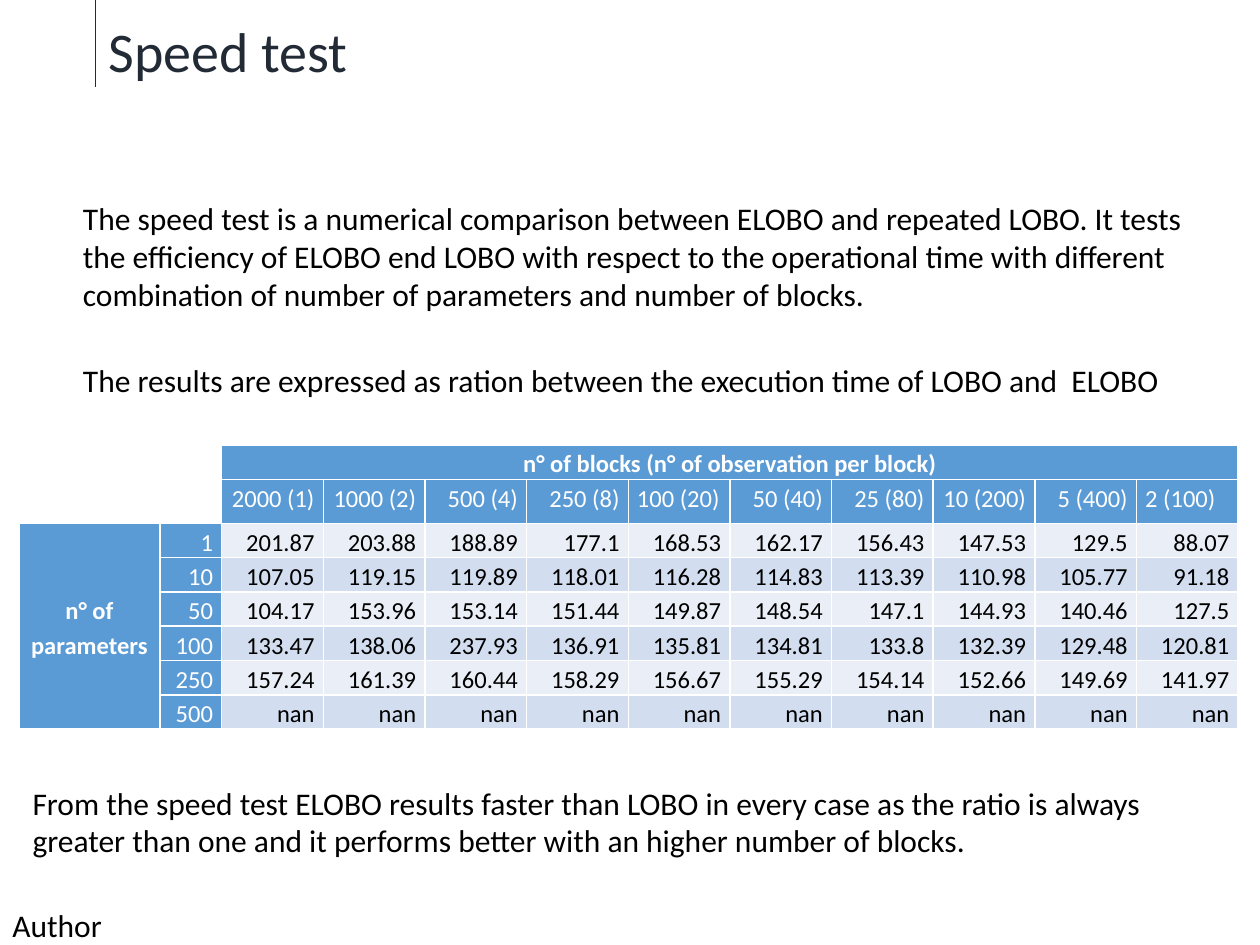
from dataclasses import dataclass

from lxml.etree import SubElement
from pptx import Presentation
from pptx.dml.color import RGBColor as Color
from pptx.enum.shapes import MSO_CONNECTOR as Connector
from pptx.enum.text import MSO_ANCHOR as Anchor, MSO_AUTO_SIZE as AutoSize, PP_ALIGN as Align
from pptx.oxml.ns import qn
from pptx.util import Pt


@dataclass(frozen=True)
class Theme:
    font: str = "Calibri"
    ink: str = "000000"
    title_ink: str = "222A35"
    rule: str = "003366"
    white: str = "FFFFFF"
    header: str = "5B9BD5"
    bands: tuple = ("EAEFF7", "D2DEEF")
    title_size: int = 32
    body_size: int = 18
    table_size: int = 14


THEME = Theme()

INTRO = (
    "The speed test is a numerical comparison between ELOBO and repeated LOBO. "
    "It tests the efficiency of ELOBO end LOBO with respect to the operational time "
    "with different combination of number of parameters and number of blocks."
)
RESULTS = "The results are expressed as ration between the execution time of LOBO and  ELOBO"
CONCLUSION = (
    "From the speed test ELOBO results faster than LOBO in every case as the ratio is "
    "always greater than one and it performs better with an higher number of blocks."
)

BLOCKS = [
    "2000 (1)", "1000 (2)", "500 (4)", "250 (8)", "100 (20)",
    "50 (40)", "25 (80)", "10 (200)", "5 (400)", "2 (100)",
]
LEFT_ALIGNED_BLOCKS = {"100 (20)", "2 (100)"}
RATIOS = {
    "1": "201.87 203.88 188.89 177.1 168.53 162.17 156.43 147.53 129.5 88.07".split(),
    "10": "107.05 119.15 119.89 118.01 116.28 114.83 113.39 110.98 105.77 91.18".split(),
    "50": "104.17 153.96 153.14 151.44 149.87 148.54 147.1 144.93 140.46 127.5".split(),
    "100": "133.47 138.06 237.93 136.91 135.81 134.81 133.8 132.39 129.48 120.81".split(),
    "250": "157.24 161.39 160.44 158.29 156.67 155.29 154.14 152.66 149.69 141.97".split(),
    "500": ["nan"] * len(BLOCKS),
}

HEADER_ROWS = 2
HEADER_COLUMNS = 2
COLUMN_WIDTHS = [80.6, 35.3] + [58.1] * len(BLOCKS)
ROW_HEIGHTS = [19.6, 25.2] + [19.6] * len(RATIOS)


def add_span(para, text, size, color, bold=False):
    span = para.add_run()
    span.text = text
    span.font.name = THEME.font
    span.font.size = Pt(size)
    span.font.bold = bold
    span.font.color.rgb = Color.from_string(color)


def set_title(page, text, left, top, width, height):
    title = page.shapes.title
    title.left, title.top, title.width, title.height = map(Pt, (left, top, width, height))
    frame = title.text_frame
    frame.word_wrap = True
    frame.auto_size = AutoSize.NONE
    frame.vertical_anchor = Anchor.BOTTOM
    para = frame.paragraphs[0]
    para.alignment = Align.LEFT
    para.line_spacing = 0.9
    add_span(para, text, THEME.title_size, THEME.title_ink)


def add_text(page, text, left, top, width, height):
    box = page.shapes.add_textbox(Pt(left), Pt(top), Pt(width), Pt(height))
    frame = box.text_frame
    frame.word_wrap = True
    frame.auto_size = AutoSize.SHAPE_TO_FIT_TEXT
    add_span(frame.paragraphs[0], text, THEME.body_size, THEME.ink)


def add_rule(page, left, top, bottom):
    rule = page.shapes.add_connector(Connector.STRAIGHT, Pt(left), Pt(bottom), Pt(left), Pt(top))
    rule.line.color.rgb = Color.from_string(THEME.rule)
    rule.line.width = Pt(0.75)
    SubElement(rule._element.spPr, qn("a:effectLst"))


def prepare_cell(cell):
    cell.margin_left = cell.margin_right = Pt(5)
    cell.margin_top = cell.margin_bottom = 0
    properties = cell._tc.get_or_add_tcPr()
    for side in ("L", "R", "T", "B"):
        line = SubElement(properties, qn(f"a:ln{side}"), w=str(Pt(1)))
        solid = SubElement(line, qn("a:solidFill"))
        SubElement(solid, qn("a:srgbClr"), val=THEME.white)
    cell.fill.background()
    para = cell.text_frame.paragraphs[0]
    SubElement(para._p, qn("a:endParaRPr"), sz=str(THEME.table_size * 100))


def fill_cell(cell, text, fill, color, align=Align.RIGHT, bold=False):
    cell.fill.solid()
    cell.fill.fore_color.rgb = Color.from_string(fill)
    para = cell.text_frame.paragraphs[0]
    para.alignment = align
    para.line_spacing = 1.15
    add_span(para, text, THEME.table_size, color, bold)


def fill_merged_header(table, first, last, text):
    cell = table.cell(*first)
    cell.merge(table.cell(*last))
    cell.vertical_anchor = Anchor.MIDDLE
    fill_cell(cell, text, THEME.header, THEME.white, Align.CENTER, bold=True)


def add_ratio_table(page, left, top):
    rows, columns = len(ROW_HEIGHTS), len(COLUMN_WIDTHS)
    table = page.shapes.add_table(
        rows, columns, Pt(left), Pt(top), Pt(sum(COLUMN_WIDTHS)), Pt(sum(ROW_HEIGHTS))
    ).table
    table.first_row = table.horz_banding = False
    for column, width in zip(table.columns, COLUMN_WIDTHS):
        column.width = Pt(width)
    for row, height in zip(table.rows, ROW_HEIGHTS):
        row.height = Pt(height)
    for cell in table.iter_cells():
        prepare_cell(cell)

    fill_merged_header(
        table, (0, HEADER_COLUMNS), (0, columns - 1), "n° of blocks (n° of observation per block)"
    )
    fill_merged_header(table, (HEADER_ROWS, 0), (rows - 1, 0), "n° of parameters")
    for column, label in enumerate(BLOCKS, HEADER_COLUMNS):
        align = Align.LEFT if label in LEFT_ALIGNED_BLOCKS else Align.RIGHT
        fill_cell(table.cell(1, column), label, THEME.header, THEME.white, align)
    for row, (parameters, ratios) in enumerate(RATIOS.items(), HEADER_ROWS):
        fill_cell(table.cell(row, 1), parameters, THEME.header, THEME.white)
        band = THEME.bands[(row - HEADER_ROWS) % 2]
        for column, ratio in enumerate(ratios, HEADER_COLUMNS):
            fill_cell(table.cell(row, column), ratio, band, THEME.ink)


def main():
    deck = Presentation()
    deck.slide_width, deck.slide_height = Pt(720), Pt(540)
    page = deck.slides.add_slide(deck.slide_layouts[5])
    add_rule(page, 54.7, 0, 49.7)
    add_text(page, "Author", 0, 514, 299, 29)
    add_text(page, INTRO, 40.3, 110.2, 663, 72.7)
    add_ratio_table(page, 10.8, 254.3)
    add_text(page, RESULTS, 40.3, 203, 663, 29)
    set_title(page, "Speed test", 54.7, 5.8, 665.3, 46)
    add_text(page, CONCLUSION, 11.5, 444.2, 691, 51)
    deck.save("out.pptx")


if __name__ == "__main__":
    main()
